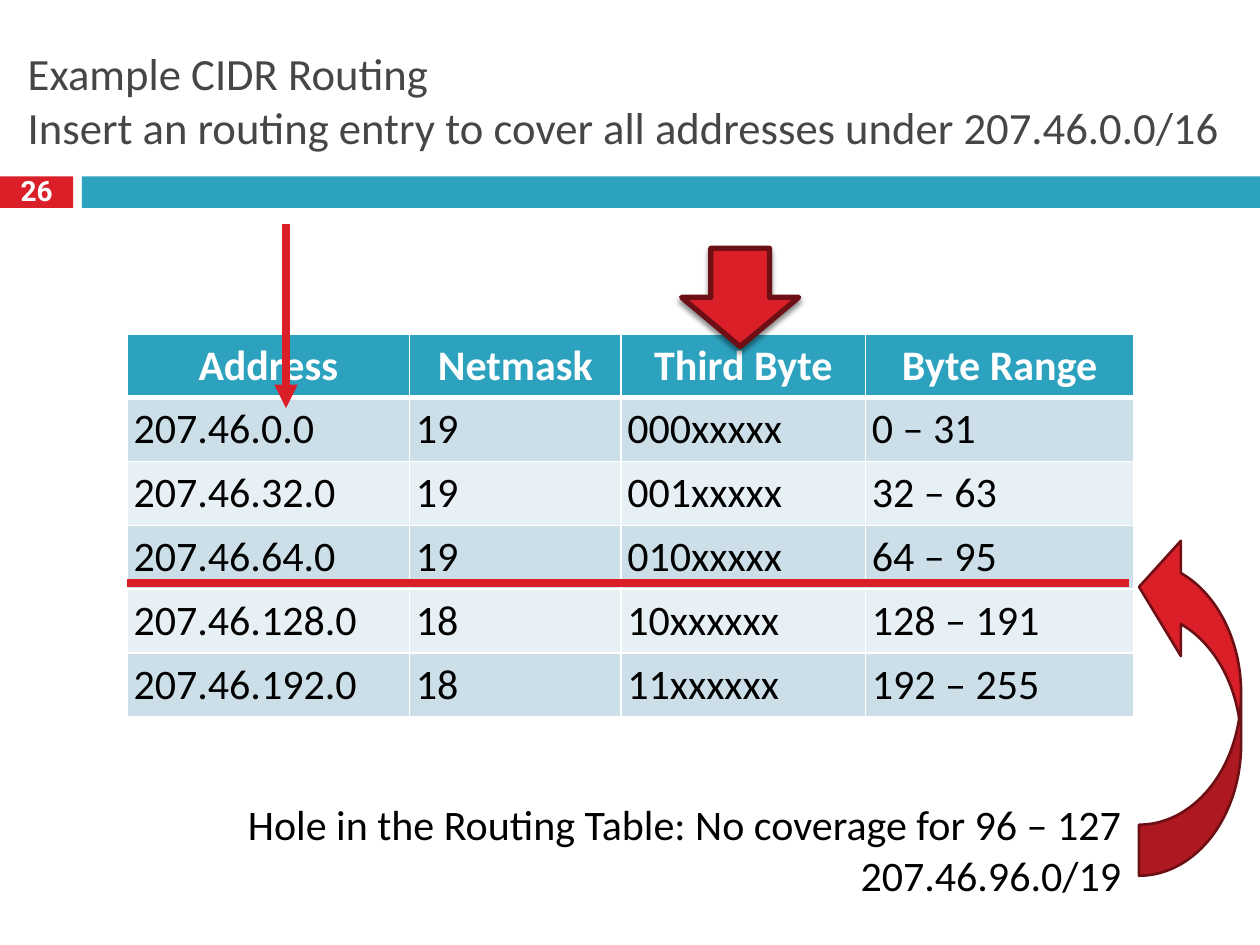
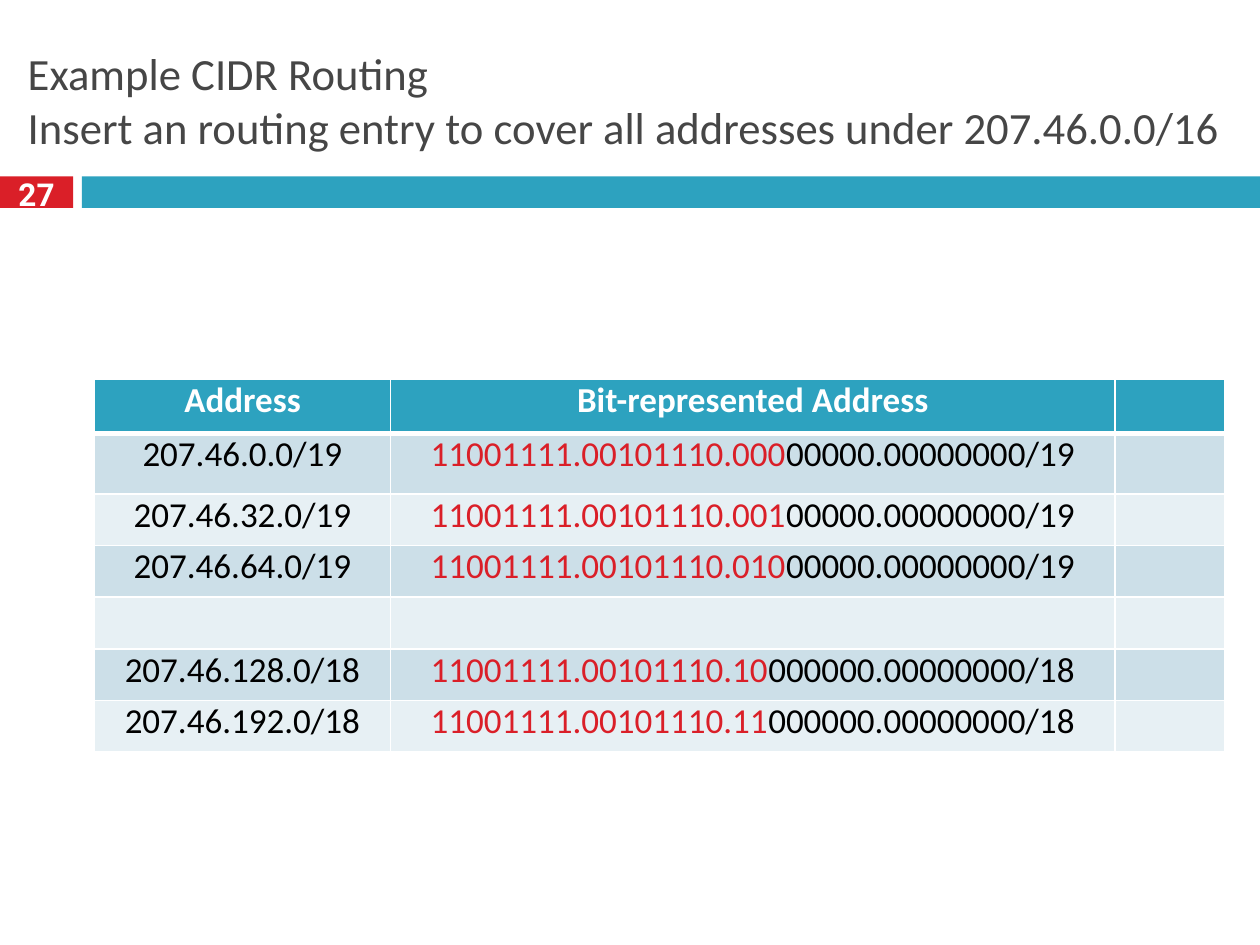
from collections import namedtuple
from dataclasses import dataclass

from lxml.etree import SubElement
from pptx import Presentation
from pptx.dml.color import RGBColor
from pptx.enum.shapes import MSO_CONNECTOR, MSO_SHAPE
from pptx.enum.text import MSO_ANCHOR, MSO_AUTO_SIZE, PP_ALIGN
from pptx.oxml.ns import qn
from pptx.util import Inches, Pt

Box = namedtuple("Box", "left top width height")


@dataclass(frozen=True)
class Theme:
    """Colours, fonts and type sizes shared by the slides."""
    white: str = "FFFFFF"
    black: str = "000000"
    title: str = "464646"
    teal: str = "2DA2BF"
    red: str = "DA1F28"
    dark_red: str = "6D0F14"
    stripes: tuple = ("CCDFE8", "E7F0F4")
    font: str = "Calibri"
    number_font: str = "Roboto"
    title_size: float = 25.5
    large: float = 24
    medium: float = 20
    inset: float = 0.05


THEME = Theme()
TITLE = "Example CIDR Routing\nInsert an routing entry to cover all addresses under 207.46.0.0/16"
TITLE_BOX = Box(0.17, 0.25, 9.67, 1.08)
BAND_BOX = Box(0, 1.4, 10, 0.25)

RANGE_ROWS = [
    ("Address", "Netmask", "Third Byte", "Byte Range"),
    ("207.46.0.0", "19", "000xxxxx", "0 – 31"),
    ("207.46.32.0", "19", "001xxxxx", "32 – 63"),
    ("207.46.64.0", "19", "010xxxxx", "64 – 95"),
    ("207.46.128.0", "18", "10xxxxxx", "128 – 191"),
    ("207.46.192.0", "18", "11xxxxxx", "192 – 255"),
]
NETWORK_BITS = "11001111.00101110."
ROUTES = [
    ("207.46.0.0/19", "000", "00000.00000000/19"),
    ("207.46.32.0/19", "001", "00000.00000000/19"),
    ("207.46.64.0/19", "010", "00000.00000000/19"),
    None,
    ("207.46.128.0/18", "10", "000000.00000000/18"),
    ("207.46.192.0/18", "11", "000000.00000000/18"),
]


def rgb(colour):
    """Turn a hex string into a colour."""
    return RGBColor.from_string(colour)


def emu(box):
    """Convert a box in inches to lengths."""
    return [Inches(value) for value in box]


def set_insets(frame, inset):
    """Give a text frame or cell equal margins."""
    frame.margin_left = frame.margin_right = Inches(inset)
    frame.margin_top = frame.margin_bottom = Inches(inset)


def style_font(font, size, colour, bold=False, name=THEME.font):
    """Format one font."""
    font.name, font.size, font.bold = name, Pt(size), bold
    font.color.rgb = rgb(colour)


def style_frame(frame, size, colour, align, **font_options):
    """Format every run of a text frame."""
    for paragraph in frame.paragraphs:
        paragraph.alignment = align
        for run in paragraph.runs:
            style_font(run.font, size, colour, **font_options)


def add_preset(slide, preset, box, fill, outline=None, weight=0):
    """Add a flat preset shape."""
    shape = slide.shapes.add_shape(preset, *emu(box))
    shape.shadow.inherit = False
    shape.fill.solid()
    shape.fill.fore_color.rgb = rgb(fill)
    if outline:
        shape.line.color.rgb = rgb(outline)
        shape.line.width = Pt(weight)
    else:
        shape.line.fill.background()
    return shape


def add_label(slide, box, text, size, colour, align, **font_options):
    """Add an unwrapped text box."""
    label = slide.shapes.add_textbox(*emu(box))
    frame = label.text_frame
    frame.word_wrap = False
    set_insets(frame, THEME.inset)
    frame.text = text
    style_frame(frame, size, colour, align, **font_options)
    return frame


def add_red_line(slide, start, end, arrow=False):
    """Draw a thick red line, with an optional arrowhead."""
    line = slide.shapes.add_connector(
        MSO_CONNECTOR.STRAIGHT, *emu(start), *emu(end))
    line.line.color.rgb = rgb(THEME.red)
    line.line.width = Pt(4.5)
    if arrow:
        SubElement(line.line._get_or_add_ln(), qn("a:tailEnd"), type="triangle")
    SubElement(line._element.spPr, qn("a:effectLst"))


def add_shadow(shape, blur, distance, opacity):
    """Cast a soft shadow straight down."""
    effects = shape._element.spPr.find(qn("a:effectLst"))
    shadow = SubElement(
        effects, qn("a:outerShdw"), blurRad=str(Pt(blur)), dist=str(Pt(distance)),
        dir="5400000", rotWithShape="0")
    colour = SubElement(shadow, qn("a:srgbClr"), val=THEME.black)
    SubElement(colour, qn("a:alpha"), val=str(opacity * 1000))


def add_title(slide, box):
    """Fill the title placeholder."""
    title = slide.shapes.title
    title.left, title.top, title.width, title.height = emu(box)
    frame = title.text_frame
    frame.text = TITLE
    frame.word_wrap = True
    frame.auto_size = MSO_AUTO_SIZE.NONE
    frame.vertical_anchor = MSO_ANCHOR.MIDDLE
    set_insets(frame, THEME.inset)
    style_frame(frame, THEME.title_size, THEME.title, PP_ALIGN.LEFT)


def add_band(slide, box, number, size, spacing):
    """Draw the band with the slide number at its left end."""
    tab, gap, label_height = 0.58, 0.07, 0.36
    bar_left = box.left + tab + gap
    add_preset(slide, MSO_SHAPE.RECTANGLE, box._replace(width=tab), THEME.red)
    add_preset(slide, MSO_SHAPE.RECTANGLE,
               box._replace(left=bar_left, width=box.width - tab - gap), THEME.teal)
    label_box = Box(box.left, box.top - 0.04, tab, label_height)
    frame = add_label(slide, label_box, str(number), size, THEME.white,
                      PP_ALIGN.CENTER, bold=True, name=THEME.number_font)
    frame.vertical_anchor = MSO_ANCHOR.MIDDLE
    frame.paragraphs[0].line_spacing = spacing


def set_borders(cell, row):
    """Outline a cell in white, heavier under the header row."""
    weights = {"lnL": 1, "lnR": 1, "lnT": 3 if row == 1 else 1, "lnB": 3 if row == 0 else 1}
    for edge, weight in weights.items():
        line = SubElement(cell._tc.get_or_add_tcPr(), qn(f"a:{edge}"), w=str(Pt(weight)))
        fill = SubElement(line, qn("a:solidFill"))
        SubElement(fill, qn("a:srgbClr"), val=THEME.white)


def add_striped_table(slide, box, rows, columns, heights, size, inset, body_align):
    """Build a table with a teal header and striped rows."""
    table = slide.shapes.add_table(len(rows), len(columns), *emu(box)).table
    for column, width in zip(table.columns, columns):
        column.width = Inches(width)
    for index, (texts, height) in enumerate(zip(rows, heights)):
        header = index == 0
        table.rows[index].height = Inches(height)
        for cell, text in zip(table.rows[index].cells, texts):
            set_borders(cell, index)
            cell.fill.solid()
            cell.fill.fore_color.rgb = rgb(
                THEME.teal if header else THEME.stripes[(index - 1) % 2])
            set_insets(cell, inset)
            colour = THEME.white if header else THEME.black
            align = PP_ALIGN.CENTER if header else body_align
            if text:
                cell.text_frame.text = text
                style_frame(cell.text_frame, size, colour, align, bold=header)
            else:
                cell.text_frame.paragraphs[0].font.size = Pt(size)
    return table


def add_range_table(slide, box):
    """Place the byte range table with its two pointers and the gap line."""
    add_striped_table(slide, box, RANGE_ROWS, (2.24, 1.68, 1.94, 2.13),
                      [box.height / len(RANGE_ROWS)] * len(RANGE_ROWS),
                      THEME.large, THEME.inset, PP_ALIGN.LEFT)
    byte_pointer = add_preset(
        slide, MSO_SHAPE.DOWN_ARROW, Box(box.left + 4.4, box.top - 0.68, 0.93, 0.78),
        THEME.red, THEME.dark_red, 3)
    add_shadow(byte_pointer, 3, 2.4, 45)
    pointer_x, gap_y = box.left + 1.26, box.top + 1.98
    add_red_line(slide, (pointer_x, box.top - 0.87), (pointer_x, box.top + 0.59), arrow=True)
    add_red_line(slide, (box.left, gap_y), (box.left + 7.95, gap_y))


def add_hole_note(slide, box):
    """Place the note on the hole and the curved arrow beside it."""
    add_label(slide, box,
              "Hole in the Routing Table: No coverage for 96 – 127\n207.46.96.0/19",
              THEME.large, THEME.black, PP_ALIGN.RIGHT)
    curve = add_preset(
        slide, MSO_SHAPE.CURVED_UP_ARROW, Box(box.left + 6.33, box.top - 1.12, 2.75, 0.81),
        THEME.red, THEME.dark_red, 1.5)
    curve.rotation = 270
    for index, value in enumerate((0.5, 1.13, 0.41)):
        curve.adjustments[index] = value


def add_bit_table(slide, box):
    """Place the table of addresses in bits with red network prefixes."""
    rows = [("Address", "Bit-represented Address", "")]
    rows += [(route[0], NETWORK_BITS + route[1], "") if route else ("", "", "")
             for route in ROUTES]
    table = add_striped_table(slide, box, rows, (2.35, 5.75, 0.87), [0.43, 0.48] + [0.41] * 5,
                              THEME.medium, 0, PP_ALIGN.CENTER)
    for index, route in enumerate(ROUTES, 1):
        if route:
            bits = table.cell(index, 1).text_frame.paragraphs[0]
            bits.runs[0].font.color.rgb = rgb(THEME.red)
            host = bits.add_run()
            host.text = route[2]
            style_font(host.font, THEME.medium, THEME.black)


def add_base_slide(deck, number, number_size, number_spacing):
    """Start a slide with the shared title and band."""
    slide = deck.slides.add_slide(deck.slide_layouts[5])
    add_title(slide, TITLE_BOX)
    add_band(slide, BAND_BOX, number, number_size, number_spacing)
    return slide


def main():
    """Build and save both slides."""
    deck = Presentation()
    deck.slide_width, deck.slide_height = Inches(10), Inches(7.5)
    ranges = add_base_slide(deck, 26, 16, 0.8)
    add_range_table(ranges, Box(1.01, 2.65, 7.99, 3.04))
    add_hole_note(ranges, Box(1.74, 6.29, 7.21, 0.85))
    bits = add_base_slide(deck, 27, 18, 1.0)
    add_bit_table(bits, Box(0.75, 3.01, 8.98, 2.94))
    deck.save("out.pptx")


if __name__ == "__main__":
    main()
